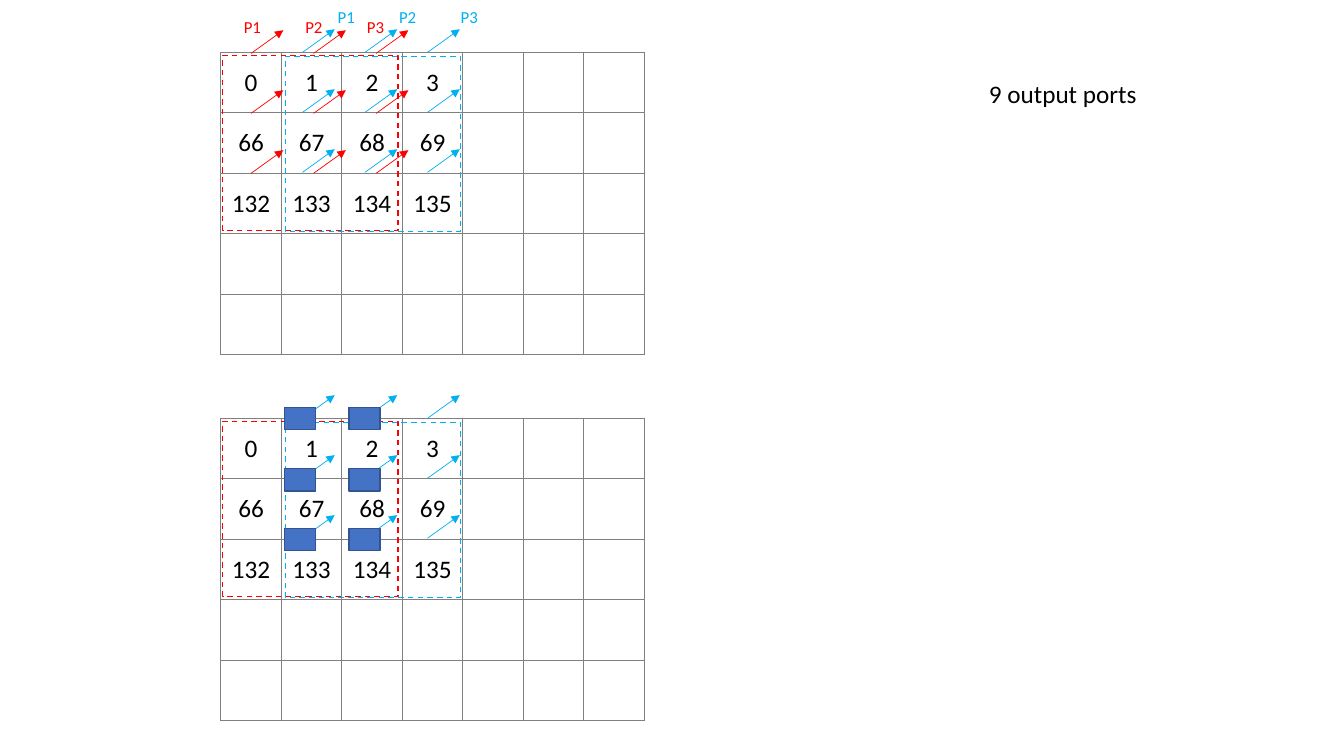
from lxml import etree
from pptx import Presentation
from pptx.dml.color import RGBColor
from pptx.enum.dml import MSO_LINE
from pptx.enum.shapes import MSO_CONNECTOR, MSO_SHAPE
from pptx.enum.text import MSO_ANCHOR, MSO_AUTO_SIZE, PP_ALIGN
from pptx.oxml.ns import qn
from pptx.util import Inches, Pt

STRAIGHT = MSO_CONNECTOR.STRAIGHT
RECTANGLE = MSO_SHAPE.RECTANGLE
DASH = MSO_LINE.DASH
MIDDLE = MSO_ANCHOR.MIDDLE
CENTER = PP_ALIGN.CENTER
FIT_SHAPE = MSO_AUTO_SIZE.SHAPE_TO_FIT_TEXT

COLORS = {
    "text": "000000",
    "grid": "808080",
    "red": "FF0000",
    "blue": "00B0F0",
    "block": "4472C4",
    "block_line": "325491",
}
FONT = "Calibri"

GRID_LEFT = 2.19
ROWS, COLUMNS, CELL = 5, 7, 0.6
FILLED_ROWS, FILLED_COLUMNS, ROW_STRIDE = 3, 4, 66
WINDOW = 1.74
ARROW_WIDTH, ARROW_HEIGHT = 0.32, 0.23
ARROW_STEP_X, ARROW_STEP_Y = 0.62, 0.595


def color(name):
    return RGBColor.from_string(COLORS[name])


def write_text(frame, text, size=18, color_name="text", align=None):
    paragraph = frame.paragraphs[0]
    paragraph.alignment = align
    run = paragraph.add_run()
    run.text = text
    run.font.name = FONT
    run.font.size = Pt(size)
    run.font.color.rgb = color(color_name)


def add_label(shapes, text, left, top, width, height, **text_format):
    box = shapes.add_textbox(Inches(left), Inches(top), Inches(width), Inches(height))
    box.text_frame.word_wrap = False
    box.text_frame.auto_size = FIT_SHAPE
    write_text(box.text_frame, text, **text_format)


def set_borders(cell):
    properties = cell._tc.get_or_add_tcPr()
    for position, side in enumerate(("a:lnL", "a:lnR", "a:lnT", "a:lnB")):
        border = etree.Element(qn(side), w=str(Pt(1)))
        fill = etree.SubElement(border, qn("a:solidFill"))
        etree.SubElement(fill, qn("a:srgbClr"), val=COLORS["grid"])
        properties.insert(position, border)


def add_memory_grid(shapes, top):
    frame = shapes.add_table(ROWS, COLUMNS, Inches(GRID_LEFT), Inches(top),
                             Inches(COLUMNS * CELL), Inches(ROWS * CELL))
    table = frame.table
    table.first_row = False
    table.horz_banding = False
    for column in table.columns:
        column.width = Inches(CELL)
    for row_index, row in enumerate(table.rows):
        row.height = Inches(CELL)
        for column_index, cell in enumerate(row.cells):
            cell.fill.background()
            set_borders(cell)
            cell.vertical_anchor = MIDDLE
            if row_index < FILLED_ROWS and column_index < FILLED_COLUMNS:
                address = row_index * ROW_STRIDE + column_index
                write_text(cell.text_frame, str(address), align=CENTER)


def add_rectangle(shapes, left, top, width, height, line, fill=None, dash=None):
    shape = shapes.add_shape(RECTANGLE, Inches(left), Inches(top),
                             Inches(width), Inches(height))
    shape.shadow.inherit = False
    if fill:
        shape.fill.solid()
        shape.fill.fore_color.rgb = color(fill)
    else:
        shape.fill.background()
    shape.line.color.rgb = color(line)
    shape.line.width = Pt(1)
    if dash:
        shape.line.dash_style = dash


def add_windows(shapes, grid_top):
    for left, offset, line in ((2.21, 0.03, "red"), (2.83, 0.04, "blue")):
        add_rectangle(shapes, left, grid_top + offset, WINDOW, WINDOW, line, dash=DASH)


def add_arrow(shapes, left, bottom, line):
    arrow = shapes.add_connector(STRAIGHT, Inches(left), Inches(bottom),
                                 Inches(left + ARROW_WIDTH),
                                 Inches(bottom - ARROW_HEIGHT))
    arrow.line.color.rgb = color(line)
    arrow.line.width = Pt(0.5)
    etree.SubElement(arrow.line._get_or_add_ln(), qn("a:tailEnd"), type="triangle")
    etree.SubElement(arrow._element.spPr, qn("a:effectLst"))


def add_arrow_group(slide, left, bottom, line):
    group = slide.shapes.add_group_shape()
    for column in range(3):
        for row in range(3):
            add_arrow(group.shapes, left + column * ARROW_STEP_X,
                      bottom + row * ARROW_STEP_Y, line)


def add_port_labels(slide, left, top, color_name):
    group = slide.shapes.add_group_shape()
    for index in range(3):
        add_label(group.shapes, f"P{index + 1}", left + index * 0.61, top,
                  0.38, 0.3, size=12, color_name=color_name)


def main():
    presentation = Presentation()
    presentation.slide_width = Inches(13.33)
    presentation.slide_height = Inches(7.5)
    slide = presentation.slides.add_slide(presentation.slide_layouts[6])
    shapes = slide.shapes

    # Upper grid: both windows with their own ports
    add_memory_grid(shapes, 0.52)
    add_windows(shapes, 0.52)
    add_arrow_group(slide, 2.49, 0.53, "red")
    add_label(shapes, "9 output ports", 9.71, 0.73, 1.68, 0.4)
    add_arrow_group(slide, 3, 0.52, "blue")
    add_port_labels(slide, 2.32, 0.12, "red")
    add_port_labels(slide, 3.25, 0.02, "blue")

    # Lower grid: blocks where the windows overlap
    add_memory_grid(shapes, 4.15)
    add_windows(shapes, 4.15)
    add_arrow_group(slide, 3, 4.15, "blue")
    for top in (4.04, 4.65, 5.24):
        for left in (2.82, 3.46):
            add_rectangle(shapes, left, top, 0.31, 0.22, "block_line", fill="block")

    presentation.save("out.pptx")


if __name__ == "__main__":
    main()
